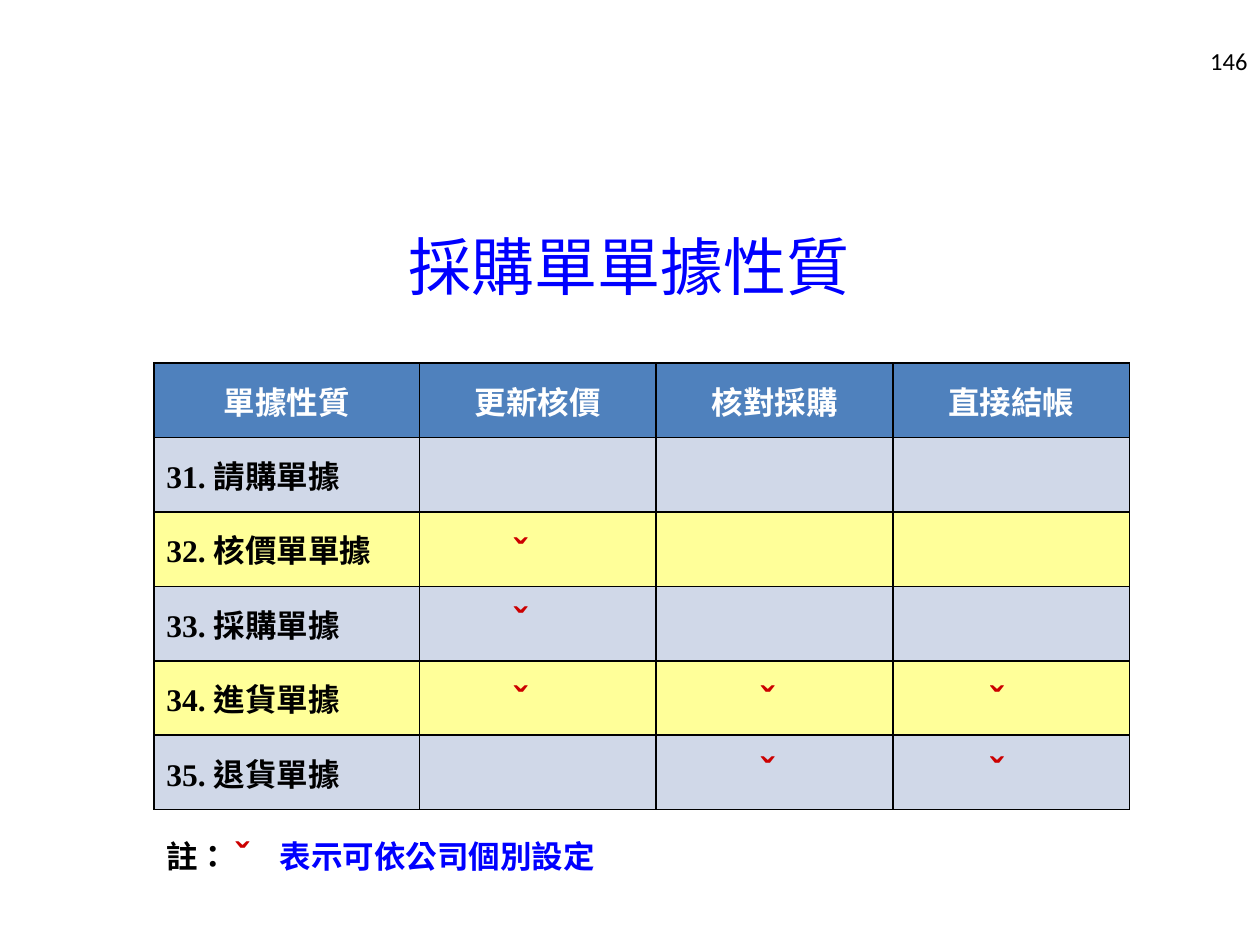
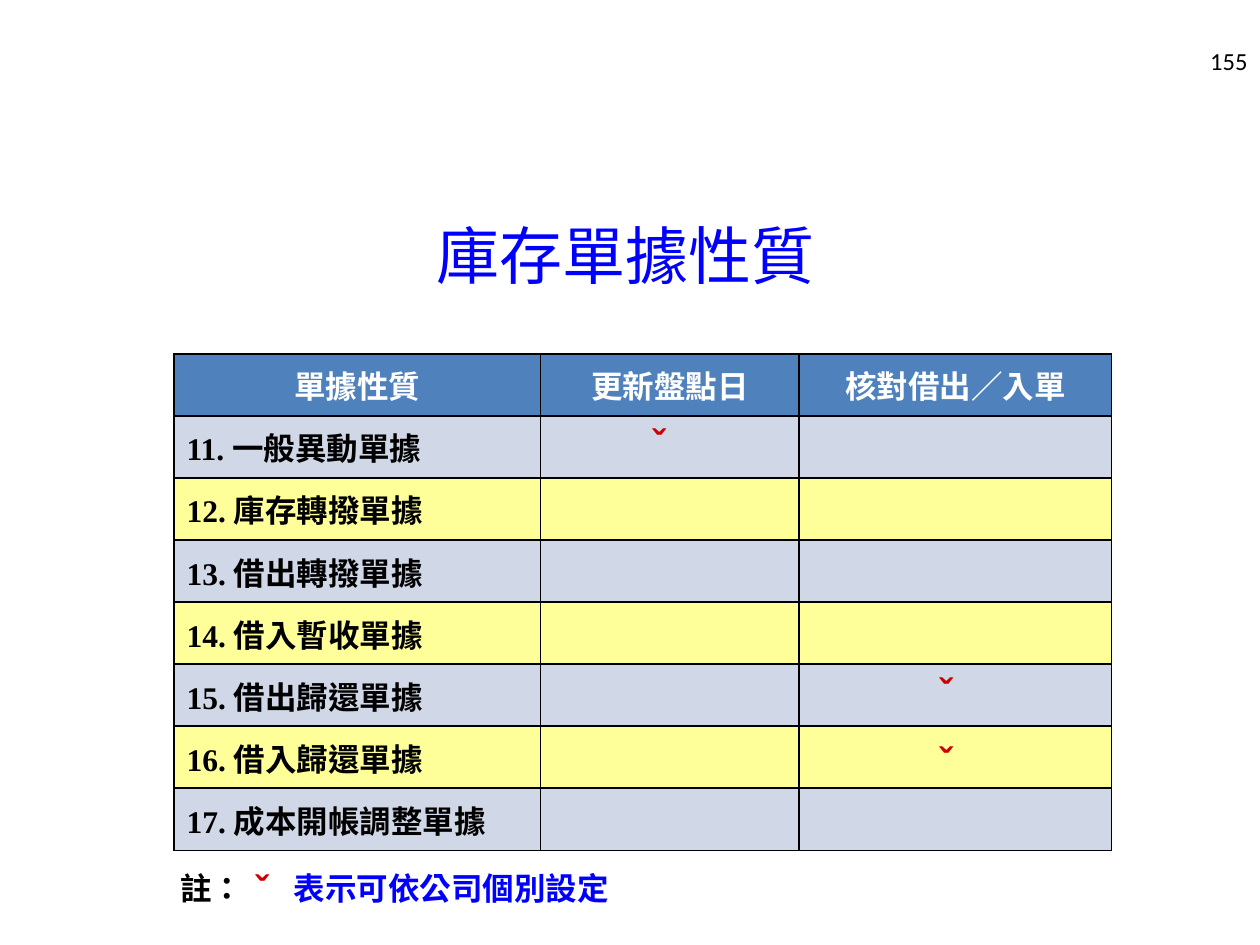
"""Build two slides of document property tables with setting marks."""
from dataclasses import dataclass, field
from typing import Any

import pptx
import pptx.dml.color
import pptx.enum.lang
import pptx.enum.text
import pptx.oxml
import pptx.oxml.ns
import pptx.util

Cm = pptx.util.Cm
ALIGN = pptx.enum.text.PP_ALIGN
MIDDLE = pptx.enum.text.MSO_ANCHOR.MIDDLE
TITLE_ONLY = 5


@dataclass(frozen=True)
class TextStyle:
    size: float
    font: str
    color: str
    bold: bool = False


@dataclass(frozen=True)
class Theme:
    header_fill: str = "4F81BD"
    row_fills: tuple[str, str] = ("D0D8E8", "FFFF99")
    border: str = "000000"
    border_width: float = 1
    number: TextStyle = field(default=TextStyle(14, "Calibri", "000000"))
    title: TextStyle = field(default=TextStyle(36, "Times New Roman", "0000FF"))
    header: TextStyle = field(default=TextStyle(18, "Times New Roman", "FFFFFF", True))
    body: TextStyle = field(default=TextStyle(18, "Times New Roman", "000000", True))
    note: TextStyle = field(default=TextStyle(18, "Times New Roman", "0000FF", True))
    mark: TextStyle = field(default=TextStyle(22, "Arial", "CC0000", True))


@dataclass(frozen=True)
class Box:
    left: float
    top: float
    width: float
    height: float

    def lengths(self) -> tuple[int, ...]:
        """Return the box as slide lengths."""
        return tuple(Cm(v) for v in (self.left, self.top, self.width, self.height))


@dataclass(frozen=True)
class PropertySlide:
    number: str
    title: str
    title_at: tuple[float, float]
    table_at: tuple[float, float]
    col_widths: tuple[float, ...]
    row_height: float
    headers: tuple[str, ...]
    documents: tuple[str, ...]
    first_code: int
    note_at: tuple[float, float]
    marks: tuple[tuple[float, float], ...]


THEME = Theme()

SLIDES = (
    PropertySlide(
        number="146",
        title="採購單單據性質",
        title_at=(0.58, 3.76),
        table_at=(3.1, 7.32),
        col_widths=(5.36, 4.77, 4.77, 4.77),
        row_height=1.5,
        headers=("單據性質", "更新核價", "核對採購", "直接結帳"),
        documents=("請購單據", "核價單單據", "採購單據", "進貨單據", "退貨單據"),
        first_code=31,
        note_at=(3.1, 16.74),
        marks=(
            (10.11, 10.52), (10.11, 11.91), (10.11, 13.51),
            (15.09, 13.51), (15.09, 14.94),
            (19.71, 13.51), (19.71, 14.94),
            (4.5, 16.64),
        ),
    ),
    PropertySlide(
        number="155",
        title="庫存單據性質",
        title_at=(0.51, 3.53),
        table_at=(3.51, 7.14),
        col_widths=(7.39, 5.21, 6.3),
        row_height=1.25,
        headers=("單據性質", "更新盤點日", "核對借出／入單"),
        documents=("一般異動單據", "庫存轉撥單據", "借出轉撥單據", "借入暫收單據",
                   "借出歸還單據", "借入歸還單據", "成本開帳調整單據"),
        first_code=11,
        note_at=(3.38, 17.4),
        marks=((12.9, 8.33), (18.69, 13.34), (18.69, 14.73), (4.9, 17.32)),
    ),
)


def rgb(color: str) -> pptx.dml.color.RGBColor:
    """Turn a hex colour into a colour object."""
    return pptx.dml.color.RGBColor.from_string(color)


def add_run(p: Any, text: str, style: TextStyle) -> None:
    """Add one styled run to a paragraph."""
    r = p.add_run()
    r.text = text
    r.font.size = pptx.util.Pt(style.size)
    r.font.name = style.font
    r.font.bold = style.bold
    r.font.color.rgb = rgb(style.color)
    r.font.language_id = pptx.enum.lang.MSO_LANGUAGE_ID.TRADITIONAL_CHINESE


def add_text(s: Any, box: Box) -> Any:
    """Add a wrapping text box and return its text frame."""
    tf = s.shapes.add_textbox(*box.lengths()).text_frame
    tf.word_wrap = True
    return tf


def add_number(s: Any, number: str) -> None:
    """Add the page number at the top right."""
    tf = add_text(s, Box(19.48, 0.71, 5.92, 1.02))
    tf.vertical_anchor = MIDDLE
    p = tf.paragraphs[0]
    p.alignment = ALIGN.RIGHT
    add_run(p, number, THEME.number)


def set_title(s: Any, text: str, at: tuple[float, float]) -> None:
    """Place and fill the title placeholder."""
    sp = s.shapes.title
    sp.left, sp.top, sp.width, sp.height = Box(*at, 24.21, 3.18).lengths()
    tf = sp.text_frame
    tf.vertical_anchor = MIDDLE
    p = tf.paragraphs[0]
    p.alignment = ALIGN.CENTER
    add_run(p, text, THEME.title)


def format_cell(cell: Any, fill: str) -> None:
    """Give a cell its borders, fill and anchor."""
    tc_pr = cell._tc.get_or_add_tcPr()
    for side in "LRTB":
        tc_pr.append(pptx.oxml.parse_xml(
            f'<a:ln{side} {pptx.oxml.ns.nsdecls("a")}'
            f' w="{pptx.util.Pt(THEME.border_width)}"><a:solidFill>'
            f'<a:srgbClr val="{THEME.border}"/></a:solidFill></a:ln{side}>'))
    cell.fill.solid()
    cell.fill.fore_color.rgb = rgb(fill)
    cell.vertical_anchor = MIDDLE


def add_property_table(s: Any, data: PropertySlide) -> None:
    """Draw the header row and the numbered document rows."""
    rows, cols = len(data.documents) + 1, len(data.headers)
    box = Box(*data.table_at, sum(data.col_widths), data.row_height * rows)
    table = s.shapes.add_table(rows, cols, *box.lengths()).table
    table.horz_banding = False
    for col, width in zip(table.columns, data.col_widths):
        col.width = Cm(width)
    for i, row in enumerate(table.rows):
        row.height = Cm(data.row_height)
        for cell in row.cells:
            format_cell(cell, THEME.row_fills[(i - 1) % 2] if i else THEME.header_fill)
    for c, header in enumerate(data.headers):
        p = table.cell(0, c).text_frame.paragraphs[0]
        p.alignment = ALIGN.CENTER
        add_run(p, header, THEME.header)
    for i, document in enumerate(data.documents):
        p = table.cell(i + 1, 0).text_frame.paragraphs[0]
        add_run(p, f"{data.first_code + i}. {document}", THEME.body)


def add_note(s: Any, at: tuple[float, float]) -> None:
    """Add the note with a tab that leaves room for its mark."""
    p = add_text(s, Box(*at, 15.8, 1.02)).paragraphs[0]
    p._p.get_or_add_pPr().append(pptx.oxml.parse_xml(
        f'<a:tabLst {pptx.oxml.ns.nsdecls("a")}>'
        f'<a:tab pos="{Cm(2.29)}" algn="l"/></a:tabLst>'))
    add_run(p, "註：\t", THEME.body)
    add_run(p, "表示可依公司個別設定", THEME.note)


def add_mark(s: Any, at: tuple[float, float]) -> None:
    """Add one red setting mark."""
    tf = add_text(s, Box(*at, 1.19, 1.19))
    add_run(tf.paragraphs[0], "ˇ", THEME.mark)


def main() -> None:
    """Build and save the presentation."""
    prs = pptx.Presentation()
    prs.slide_width, prs.slide_height = Cm(25.4), Cm(19.05)
    for data in SLIDES:
        s = prs.slides.add_slide(prs.slide_layouts[TITLE_ONLY])
        add_number(s, data.number)
        set_title(s, data.title, data.title_at)
        add_property_table(s, data)
        add_note(s, data.note_at)
        for at in data.marks:
            add_mark(s, at)
    prs.save("out.pptx")


if __name__ == "__main__":
    main()
